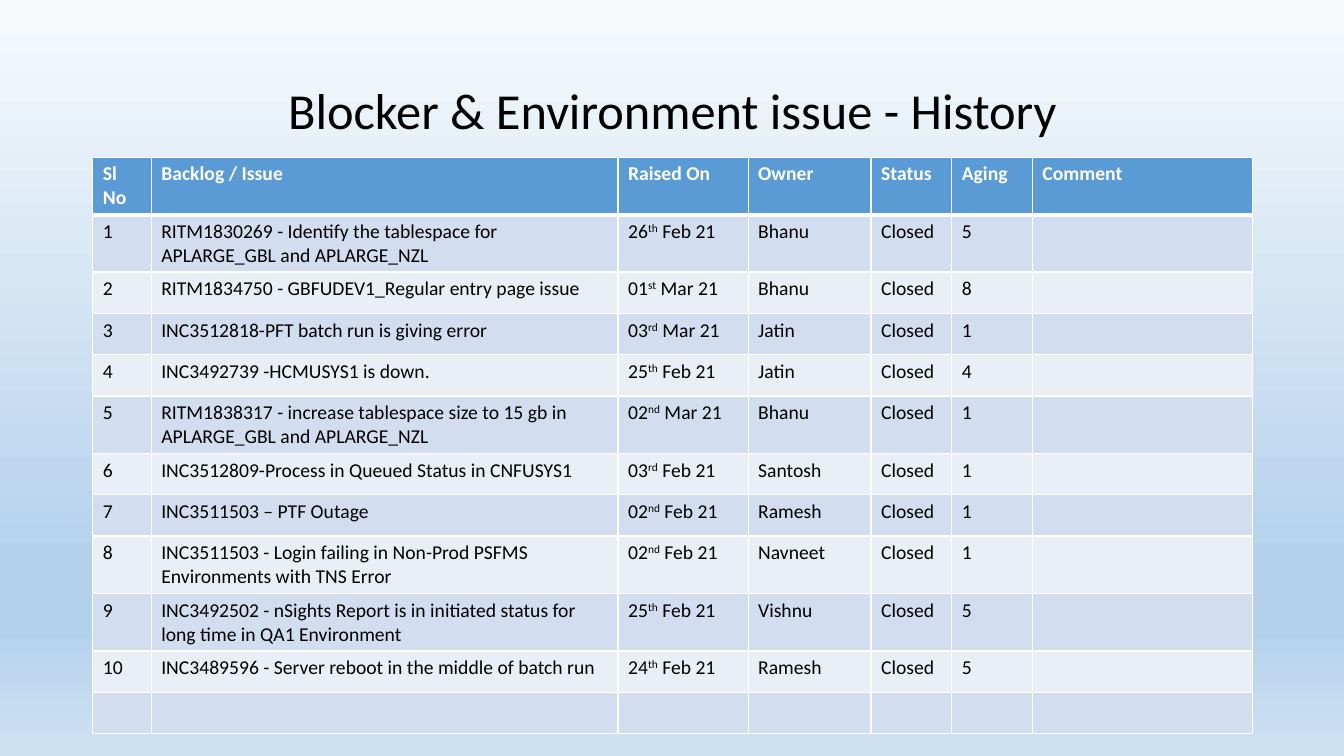
from dataclasses import dataclass

from lxml.etree import SubElement
from pptx import Presentation
from pptx.dml.color import RGBColor as Color
from pptx.enum.text import MSO_ANCHOR as Anchor, PP_ALIGN as Align
from pptx.oxml.ns import qn
from pptx.util import Inches, Pt


@dataclass(frozen=True)
class Theme:
    """Colours, font and type sizes of the deck."""
    font: str = "Calibri"
    title_size: int = 36
    table_size: int = 14
    ink: str = "000000"
    paper: str = "FFFFFF"
    header: str = "5B9BD5"
    bands: tuple = ("D2DEEF", "EAEFF7")
    sky: tuple = ((0, "F7FAFD"), (0.74, "B5D2EC"), (0.83, "B5D2EC"), (1, "CEE1F2"))


THEME = Theme()
TITLE = "Blocker & Environment issue - History"
COLUMNS = (("Sl No", 0.58), ("Backlog / Issue", 4.63), ("Raised On", 1.29), ("Owner", 1.22),
           ("Status", 0.8), ("Aging", 0.8), ("Comment", 2.18))
ISSUES = (
    ("RITM1830269 - Identify the tablespace for APLARGE_GBL and APLARGE_NZL", "26th Feb 21", "Bhanu", 5),
    ("RITM1834750 - GBFUDEV1_Regular entry page issue", "01st Mar 21", "Bhanu", 8),
    ("INC3512818-PFT batch run is giving error", "03rd Mar 21", "Jatin", 1),
    ("INC3492739 -HCMUSYS1 is down.", "25th Feb 21", "Jatin", 4),
    ("RITM1838317 - increase tablespace size to 15 gb in APLARGE_GBL and APLARGE_NZL",
     "02nd Mar 21", "Bhanu", 1),
    ("INC3512809-Process in Queued Status in CNFUSYS1", "03rd Feb 21", "Santosh", 1),
    ("INC3511503 – PTF Outage", "02nd Feb 21", "Ramesh", 1),
    ("INC3511503 - Login failing in Non-Prod PSFMS Environments with TNS Error",
     "02nd Feb 21", "Navneet", 1),
    ("INC3492502 - nSights Report is in initiated status for long time in QA1 Environment",
     "25th Feb 21", "Vishnu", 5),
    ("INC3489596 - Server reboot in the middle of batch run", "24th Feb 21", "Ramesh", 5),
)
DATE_COLUMN = 2
ONE_LINE, TWO_LINES, LINE_LENGTH = 0.41, 0.57, 55


def add_span(para, text, size=THEME.table_size, color=THEME.ink, bold=False, raised=False):
    """Append formatted text to a paragraph."""
    span = para.add_run()
    span.text = text
    span.font.name = THEME.font
    span.font.size = Pt(size)
    span.font.bold = bold
    span.font.color.rgb = Color.from_string(color)
    if raised:
        span.font._element.set("baseline", "30000")


def add_date(para, date):
    """Write a date whose ordinal suffix is superscript."""
    add_span(para, date[:2])
    add_span(para, date[2:4], raised=True)
    add_span(para, date[4:])


def add_borders(cell, **widths):
    """Draw the white borders of a cell, with widths in points by side."""
    properties = cell._tc.get_or_add_tcPr()
    for side in "LRTB":
        line = SubElement(properties, qn(f"a:ln{side}"), w=str(Pt(widths.get(side, 1))))
        fill = SubElement(line, qn("a:solidFill"))
        SubElement(fill, qn("a:srgbClr"), val=THEME.paper)


def paint_background(page):
    """Fill the page with the vertical sky gradient."""
    fill = page.background.fill
    fill.gradient()
    fill.gradient_angle = 270
    stop_list = page.element.find(f".//{qn('a:gsLst')}")
    for stop in list(stop_list):
        stop_list.remove(stop)
    for position, color in THEME.sky:
        stop = SubElement(stop_list, qn("a:gs"), pos=str(round(position * 100000)))
        SubElement(stop, qn("a:srgbClr"), val=color)


def add_title(page, left, top, width, height):
    """Place the centred page title in the given box."""
    box = page.shapes.add_textbox(Inches(left), Inches(top), Inches(width), Inches(height))
    box.text_frame.word_wrap = True
    box.text_frame.vertical_anchor = Anchor.MIDDLE
    para = box.text_frame.paragraphs[0]
    para.alignment = Align.CENTER
    para.line_spacing = 0.9
    add_span(para, TITLE, size=THEME.title_size)


def fill_cell(cell, row, column, text):
    """Style one table cell and write its text."""
    is_header = row == 0
    add_borders(cell, T=3 if row == 1 else 1, B=3 if is_header else 1)
    cell.fill.solid()
    cell.fill.fore_color.rgb = Color.from_string(THEME.header if is_header else THEME.bands[(row - 1) % 2])
    para = cell.text_frame.paragraphs[0]
    if is_header:
        add_span(para, text, color=THEME.paper, bold=True)
    elif text and column == DATE_COLUMN:
        add_date(para, text)
    elif text:
        add_span(para, text)


def add_issue_table(page, left, top, width):
    """Place the issue history, scaled to the given width, with one spare row."""
    rows = [[name for name, _ in COLUMNS]]
    rows += [[str(number), issue, date, owner, "Closed", str(age), ""]
             for number, (issue, date, owner, age) in enumerate(ISSUES, 1)]
    rows.append([""] * len(COLUMNS))
    heights = [TWO_LINES if row == 0 or len(texts[1]) > LINE_LENGTH else ONE_LINE
               for row, texts in enumerate(rows)]
    table = page.shapes.add_table(len(rows), len(COLUMNS), Inches(left), Inches(top),
                                  Inches(width), Inches(sum(heights))).table
    scale = width / sum(share for _, share in COLUMNS)
    for column, (_, share) in zip(table.columns, COLUMNS):
        column.width = Inches(share * scale)
    for row, (texts, height) in enumerate(zip(rows, heights)):
        table.rows[row].height = Inches(height)
        for column, text in enumerate(texts):
            fill_cell(table.cell(row, column), row, column, text)


def build_history_page(deck):
    """Add the page that lists past blockers and environment issues."""
    page = deck.slides.add_slide(deck.slide_layouts[6])
    paint_background(page)
    add_title(page, 0.92, 0.4, 11.5, 1.45)
    add_issue_table(page, 0.92, 1.56, 11.5)


deck = Presentation()
deck.slide_width, deck.slide_height = Inches(13.33), Inches(7.5)
build_history_page(deck)
deck.save("out.pptx")
